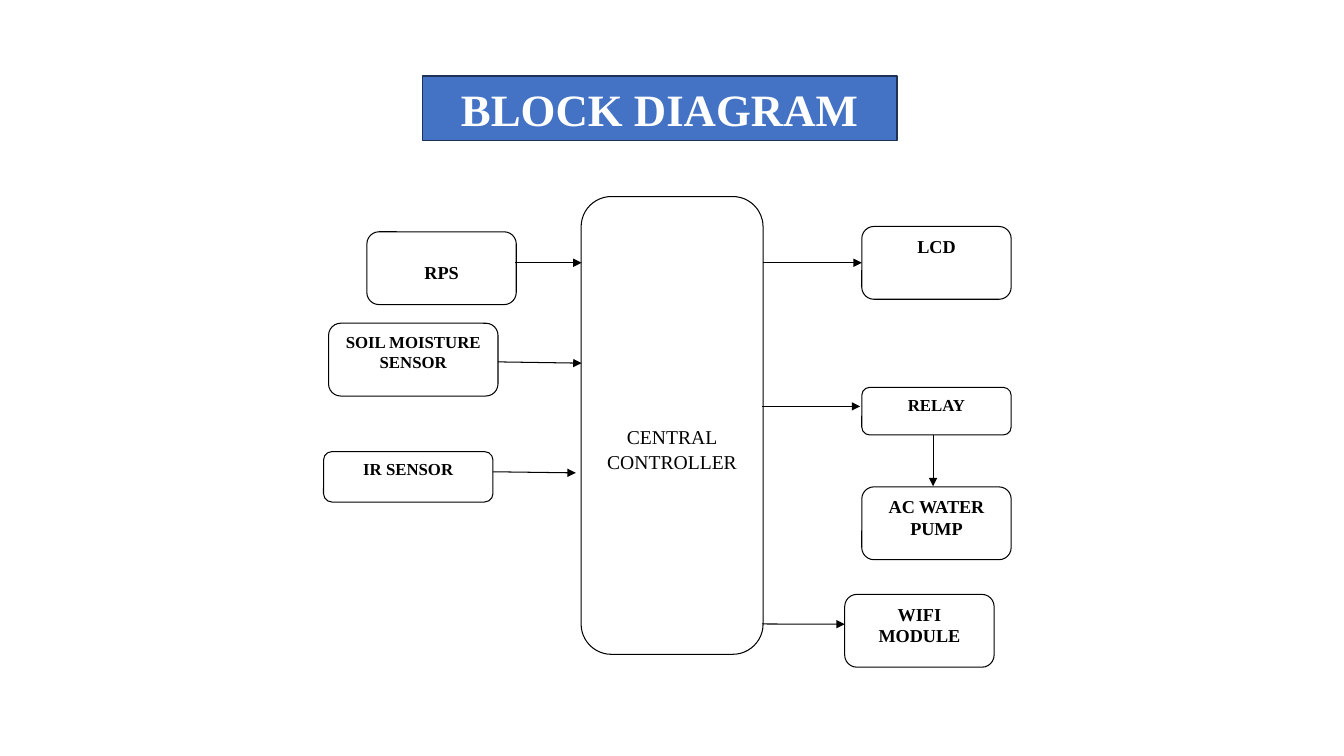
import pptx
import pptx.util
import pptx.dml.color
import pptx.enum.shapes
import pptx.enum.text
import pptx.oxml
import pptx.oxml.ns

Pt = pptx.util.Pt
SHAPES = pptx.enum.shapes.MSO_SHAPE
ANCHORS = pptx.enum.text.MSO_ANCHOR
FONT = "Times New Roman"
COLOURS = {"white": "FFFFFF", "black": "000000", "banner": "4472C4", "banner_edge": "1E3256"}

# Text, left, top, width, height, font size, top inset
BLOCKS = [
    ("RPS", 262.1, 165.6, 106.7, 52, 13, 18.6),
    ("SOIL MOISTURE SENSOR", 234.7, 230.9, 121, 52, 12, 3.6),
    ("IR SENSOR", 231.1, 322.6, 121, 36, 12, 3.6),
    ("LCD", 615.6, 161.8, 106.7, 52, 13, 3.6),
    ("RELAY", 615.6, 276.7, 106.7, 34, 12, 3.6),
    ("AC WATER PUMP", 615.6, 347.8, 106.7, 52, 13, 3.6),
    ("WIFI MODULE", 603.4, 424.6, 106.7, 52, 13, 3.6),
]

# Start x, start y, end x, end y
ARROWS = [
    (368, 187.7, 415.4, 187.7),
    (355.7, 258.5, 415.4, 259.4),
    (352.1, 337, 411.3, 337.8),
    (545, 187.7, 615.6, 187.7),
    (544.3, 290.3, 614.4, 290.3),
    (666.5, 310.9, 666.5, 347.3),
    (544.3, 445.7, 603.4, 445.9),
]


def colour(name):
    return pptx.dml.color.RGBColor.from_string(COLOURS[name])


def write_text(shape, text, size=13, bold=True, ink="black", top=3.6,
               anchor=ANCHORS.TOP, spacing=1.0):
    frame = shape.text_frame
    frame.word_wrap = True
    frame.vertical_anchor = anchor
    frame.margin_top = Pt(top)
    frame.text = text
    for paragraph in frame.paragraphs:
        paragraph.alignment = pptx.enum.text.PP_ALIGN.CENTER
        paragraph.line_spacing = spacing
        paragraph.font.name = FONT
        paragraph.font.size = Pt(size)
        paragraph.font.bold = bold
        paragraph.font.color.rgb = colour(ink)


def add_box(slide, left, top, width, height, kind=SHAPES.ROUNDED_RECTANGLE,
            fill="white", edge="black", weight=0.75):
    shape = slide.shapes.add_shape(kind, Pt(left), Pt(top), Pt(width), Pt(height))
    shape.shadow.inherit = False
    shape.fill.solid()
    shape.fill.fore_color.rgb = colour(fill)
    shape.line.color.rgb = colour(edge)
    shape.line.width = Pt(weight)
    return shape


def add_arrow(slide, *ends):
    connector = slide.shapes.add_connector(
        pptx.enum.shapes.MSO_CONNECTOR.STRAIGHT, *(Pt(value) for value in ends))
    connector.line.color.rgb = colour("black")
    connector.line.width = Pt(0.75)
    head = pptx.oxml.parse_xml(
        f'<a:tailEnd {pptx.oxml.ns.nsdecls("a")} type="triangle"/>')
    connector.line._get_or_add_ln().append(head)
    no_effects = pptx.oxml.parse_xml(f'<a:effectLst {pptx.oxml.ns.nsdecls("a")}/>')
    connector._element.spPr.append(no_effects)


def main():
    presentation = pptx.Presentation()
    presentation.slide_width = Pt(960)
    presentation.slide_height = Pt(540)
    slide = presentation.slides.add_slide(presentation.slide_layouts[6])

    # Title banner
    banner = add_box(slide, 301.7, 54.2, 339, 46, kind=SHAPES.RECTANGLE,
                     fill="banner", edge="banner_edge", weight=1)
    write_text(banner, "BLOCK DIAGRAM", size=32, ink="white", anchor=ANCHORS.MIDDLE)

    # Central controller
    controller = add_box(slide, 415.1, 140.4, 130, 327)
    write_text(controller, "CENTRAL\nCONTROLLER", size=14, bold=False, top=156, spacing=1.06)

    # Inputs and outputs
    for text, left, top, width, height, size, inset in BLOCKS:
        block = add_box(slide, left, top, width, height)
        write_text(block, text, size=size, top=inset)

    # Signal flow
    for ends in ARROWS:
        add_arrow(slide, *ends)

    presentation.save("out.pptx")


if __name__ == "__main__":
    main()
